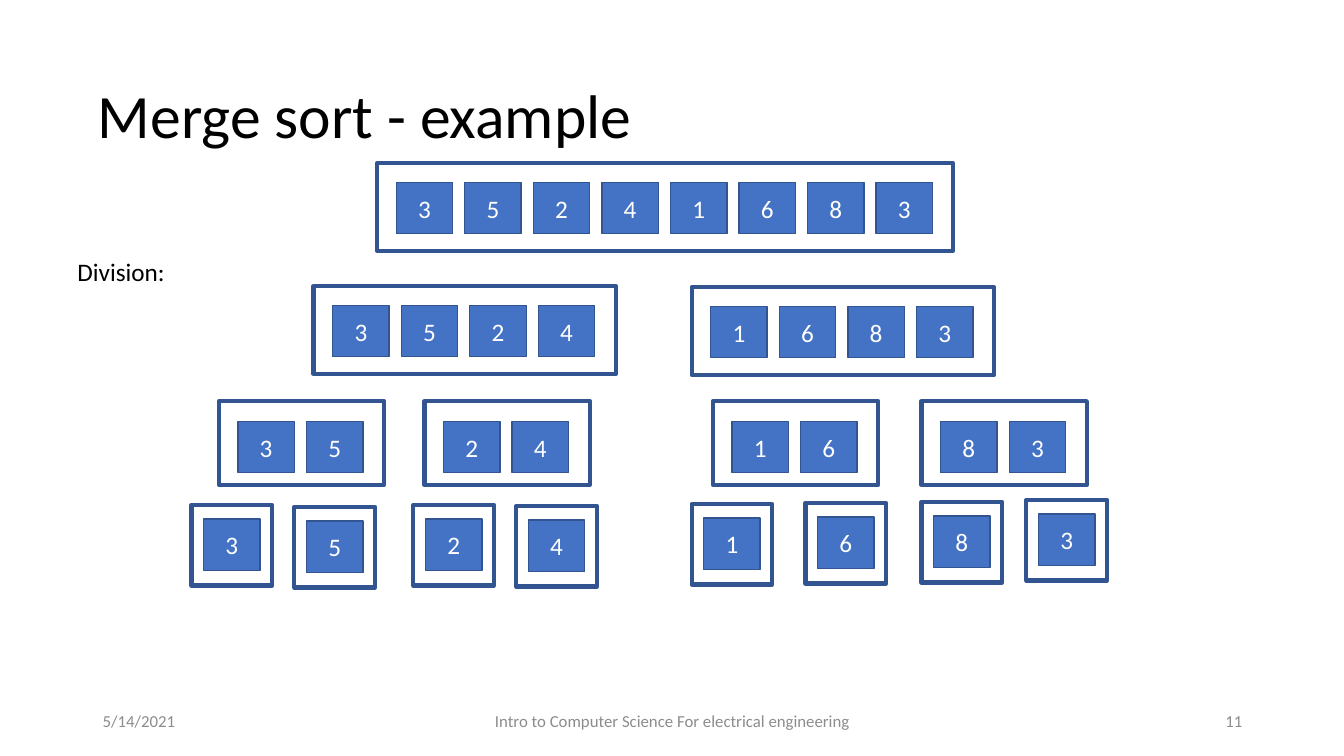
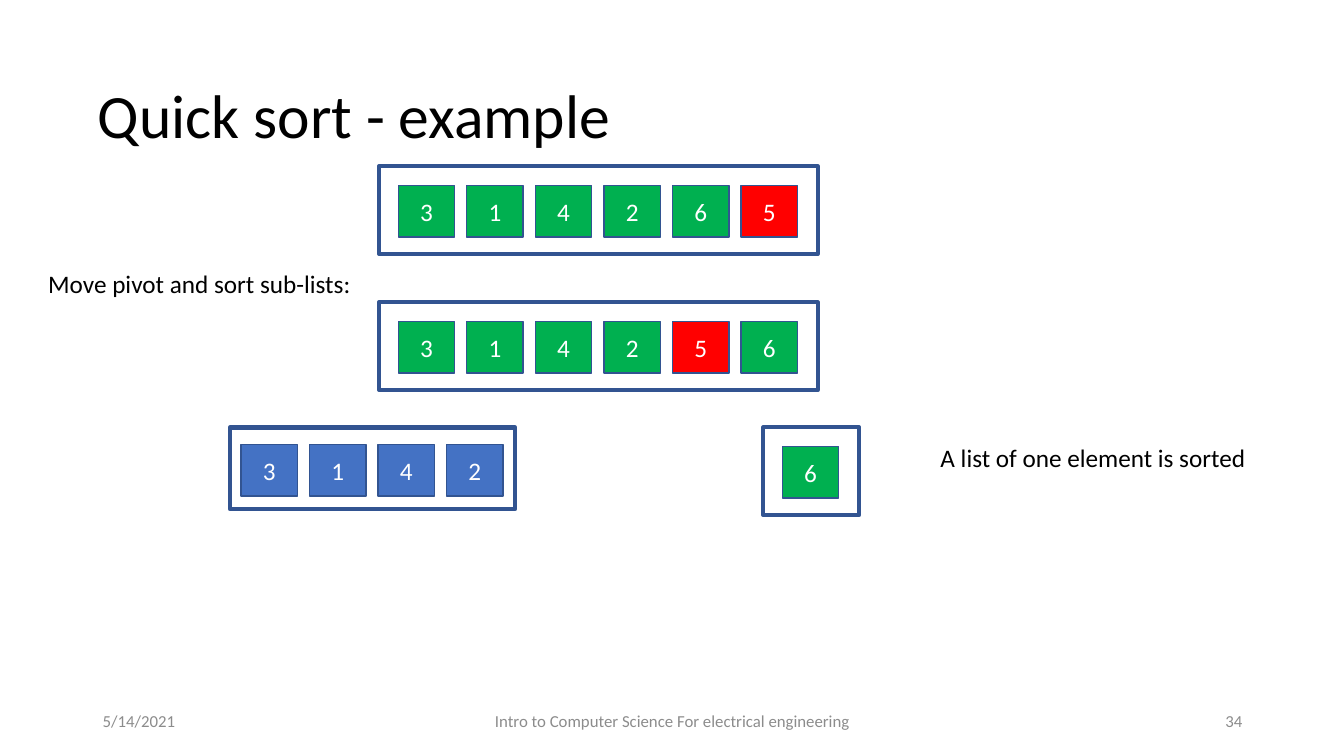
import pptx
import pptx.dml.color
import pptx.enum.shapes
import pptx.enum.text
import pptx.util

Inches = pptx.util.Inches
Align = pptx.enum.text.PP_ALIGN
Anchor = pptx.enum.text.MSO_ANCHOR

FONT = "Calibri"
BLUE, NAVY, GREEN, RED = "4472C4", "325491", "00B050", "FF0000"
BLACK, WHITE, GRAY = "000000", "FFFFFF", "8C8C8C"
CELL_W, CELL_H, PITCH = 0.56, 0.51, 0.68


def rgb(code):
    return pptx.dml.color.RGBColor.from_string(code)


def write(shape, text, size, color, align=Align.LEFT, anchor=Anchor.MIDDLE):
    frame = shape.text_frame
    frame.text = text
    frame.vertical_anchor = anchor
    para = frame.paragraphs[0]
    para.alignment = align
    font = para.runs[0].font
    font.name = FONT
    font.size = pptx.util.Pt(size)
    font.color.rgb = rgb(color)


def add_rect(slide, left, top, width, height, weight, fill=None):
    shape = slide.shapes.add_shape(
        pptx.enum.shapes.MSO_SHAPE.RECTANGLE,
        Inches(left), Inches(top), Inches(width), Inches(height))
    shape.shadow.inherit = False
    if fill:
        shape.fill.solid()
        shape.fill.fore_color.rgb = rgb(fill)
    else:
        shape.fill.background()
    shape.line.color.rgb = rgb(NAVY)
    shape.line.width = pptx.util.Pt(weight)
    return shape


def add_list(slide, digits, left, top, width, height,
             pad=(0.19, 0.19), fill=BLUE, pivot=None):
    """Draw a frame with one cell per digit; the pivot digit is red."""
    add_rect(slide, left, top, width, height, 3)
    for i, digit in enumerate(digits):
        color = RED if digit == pivot else fill
        cell = add_rect(slide, left + pad[0] + i * PITCH, top + pad[1],
                        CELL_W, CELL_H, 1, color)
        write(cell, digit, 18, WHITE, Align.CENTER)


def add_text(slide, text, left, top, width, size=18, color=BLACK,
             align=Align.LEFT, anchor=Anchor.TOP):
    box = slide.shapes.add_textbox(
        Inches(left), Inches(top), Inches(width), Inches(0.4))
    box.text_frame.word_wrap = False
    write(box, text, size, color, align, anchor)


def add_slide(deck, title, number):
    """Add a slide with its title and the shared footer."""
    slide = deck.slides.add_slide(deck.slide_layouts[5])
    head = slide.shapes.title
    head.left, head.top = Inches(0.87), Inches(0.45)
    head.width, head.height = Inches(11.5), Inches(1.45)
    write(head, title, 44, BLACK)
    head.text_frame.paragraphs[0].line_spacing = 0.9
    footer = [
        ("5/14/2021", 0.92, 3, Align.LEFT),
        ("Intro to Computer Science For electrical engineering",
         4.42, 4.5, Align.CENTER),
        (number, 9.42, 3, Align.RIGHT),
    ]
    for text, left, width, align in footer:
        add_text(slide, text, left, 6.95, width, 12, GRAY, align,
                 Anchor.MIDDLE)
    return slide


def merge_slide(deck):
    slide = add_slide(deck, "Merge sort - example", "11")
    add_text(slide, "Division:", 0.67, 2.49, 1.08)
    add_list(slide, "35241683", 3.74, 1.62, 5.71, 0.87)
    for digits, left, top in [("3524", 3.11, 2.84), ("1683", 6.86, 2.85)]:
        add_list(slide, digits, left, top, 3, 0.87)
    pairs = [("35", 2.17), ("24", 4.21), ("16", 7.07), ("83", 9.14)]
    for digits, left in pairs:
        add_list(slide, digits, left, 3.98, 1.64, 0.83, (0.19, 0.2))
    singles = [("3", 1.9, 5.01), ("5", 2.92, 5.03), ("2", 4.1, 5.01),
               ("4", 5.12, 5.02), ("1", 6.86, 5), ("6", 7.99, 4.99),
               ("8", 9.14, 4.98), ("3", 10.18, 4.96)]
    for digit, left, top in singles:
        add_list(slide, digit, left, top, 0.8, 0.8, (0.12, 0.14))


def quick_slide(deck):
    slide = add_slide(deck, "Quick sort - example", "34")
    add_text(slide, "Move pivot and sort sub-lists:", 0.38, 2.61, 3.23)
    for digits, top in [("314265", 1.65), ("314256", 3)]:
        add_list(slide, digits, 3.76, top, 4.35, 0.87,
                 fill=GREEN, pivot="5")
    add_list(slide, "3142", 2.28, 4.24, 2.83, 0.81, (0.11, 0.17))
    add_list(slide, "6", 7.57, 4.24, 0.95, 0.87, fill=GREEN)
    add_text(slide, "A list of one element is sorted", 9.23, 4.34, 3.26)


def main():
    deck = pptx.Presentation()
    deck.slide_width, deck.slide_height = Inches(13.33), Inches(7.5)
    merge_slide(deck)
    quick_slide(deck)
    deck.save("out.pptx")


if __name__ == "__main__":
    main()
